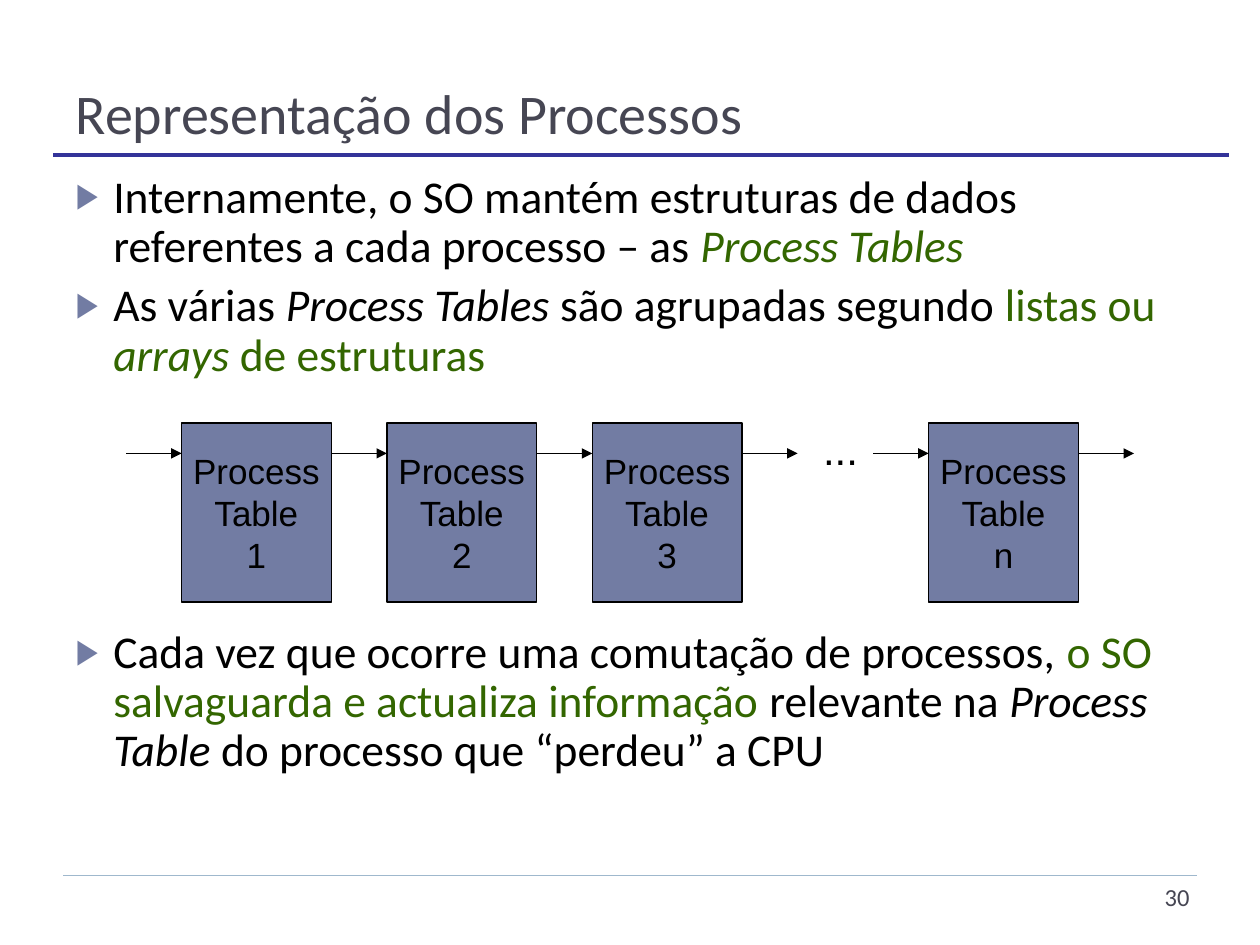
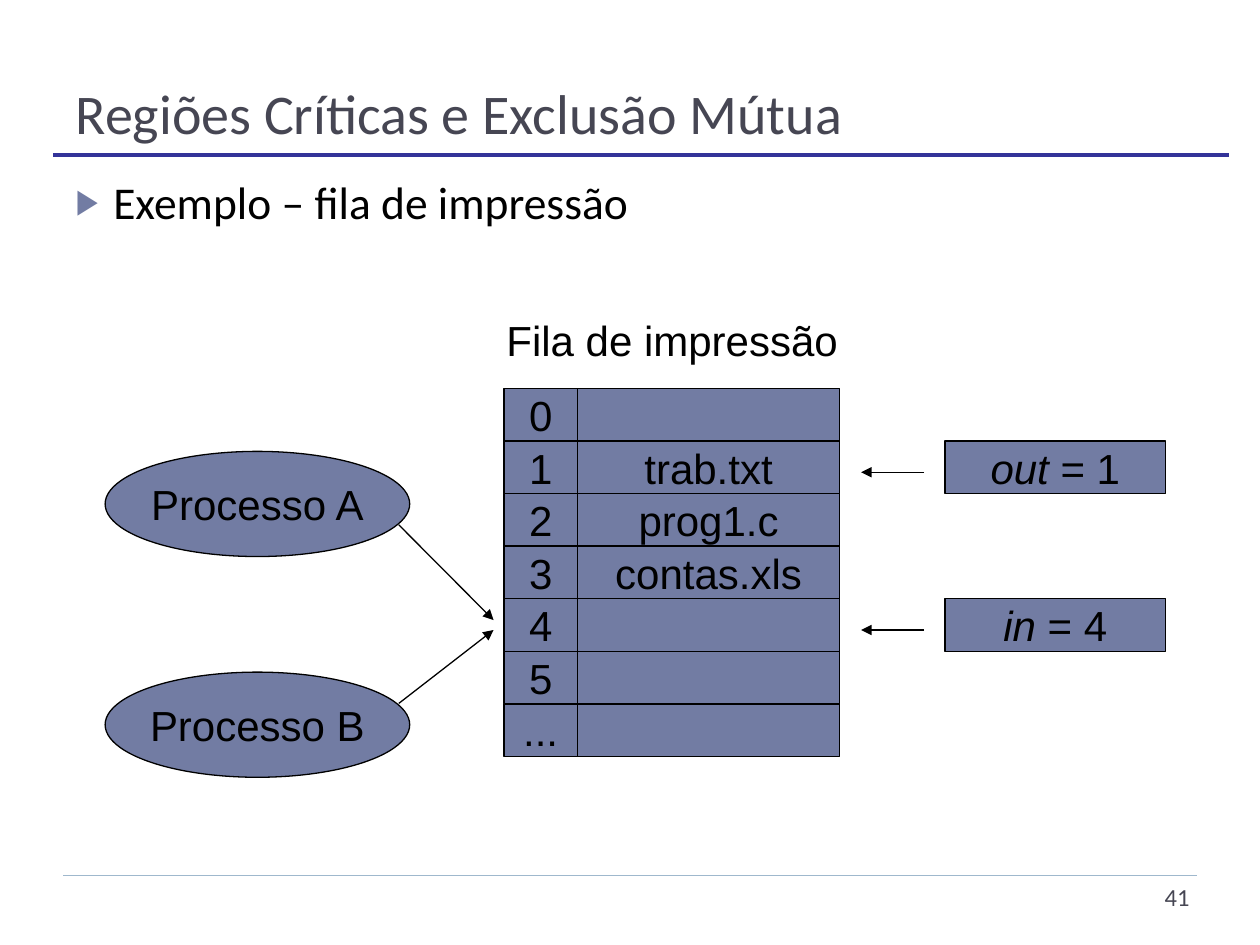
from dataclasses import dataclass

from lxml.etree import SubElement
from pptx import Presentation
from pptx.dml.color import RGBColor
from pptx.enum.shapes import MSO_CONNECTOR, MSO_SHAPE
from pptx.enum.text import MSO_ANCHOR, MSO_AUTO_SIZE, PP_ALIGN
from pptx.oxml.ns import qn
from pptx.util import Cm, Pt

# Content: runs are (text, style), where i is italic and g is the accent green
PROCESS_SLIDE = {
    "title": "Representação dos Processos",
    "number": "30",
    "line_spacing": 0.9,
    "bullets": [
        (0, [("Internamente, o SO mantém estruturas de dados referentes a cada processo – as ", ""),
             ("Process Tables", "gi")]),
        (6, [("As várias ", ""), ("Process Tables", "i"), (" são agrupadas segundo ", ""),
             ("listas ou ", "g"), ("arrays", "gi"), (" de estruturas", "g")]),
        (142, [("Cada vez que ocorre uma comutação de processos, ", ""),
               ("o SO salvaguarda e actualiza informação", "g"), (" relevante na ", ""),
               ("Process Table", "i"), (" do processo que “perdeu” a CPU", "")]),
    ],
}
QUEUE_SLIDE = {
    "title": "Regiões Críticas e Exclusão Mútua",
    "number": "41",
    "line_spacing": 1.0,
    "bullets": [(0, [("Exemplo – fila de impressão", "")])],
}
PROCESS_TABLES = [("1", 3.66), ("2", 7.8), ("3", 11.94), ("n", 18.72)]
QUEUE_TITLE = "Fila de impressão"
QUEUE = [("0", ""), ("1", "trab.txt"), ("2", "prog1.c"), ("3", "contas.xls"),
         ("4", ""), ("5", ""), ("...", "")]
POINTERS = [("out", 1), ("in", 4)]
PROCESSES = [("Processo A", 9.1, 10.58, 12.5), ("Processo B", 13.55, 14.18, 12.7)]


@dataclass(frozen=True)
class Theme:
    heading_font: str = "Calibri"
    diagram_font: str = "Arial"
    heading: str = "464653"
    ink: str = "000000"
    green: str = "336600"
    fill: str = "727CA3"
    title_rule: str = "333399"
    footer_rule: str = "9FB8CD"
    title_size: int = 32
    body_size: int = 26
    diagram_size: int = 24
    box_size: int = 20
    number_size: int = 14


THEME = Theme()


# Formatting helpers
def set_values(target, values):
    for name, value in values.items():
        setattr(target, name, value)


def place(shape, left, top, width, height):
    set_values(shape, {"left": Cm(left), "top": Cm(top), "width": Cm(width), "height": Cm(height)})


def write_runs(paragraph, runs, font, size, color):
    for text, style in runs:
        for index, line in enumerate(text.split("\n")):
            if index:
                paragraph.add_line_break()
            run = paragraph.add_run()
            run.text = line
            set_values(run.font, {"name": font, "size": Pt(size), "italic": "i" in style})
            run.font.color.rgb = RGBColor.from_string(THEME.green if "g" in style else color)


def add_bullet(paragraph):
    properties = paragraph._p.get_or_add_pPr()
    properties.set("marL", str(Cm(0.76)))
    properties.set("indent", str(-Cm(0.76)))
    bullet_color = SubElement(properties, qn("a:buClr"))
    SubElement(bullet_color, qn("a:srgbClr"), val=THEME.fill)
    SubElement(properties, qn("a:buSzPct"), val="76000")
    SubElement(properties, qn("a:buChar"), char="▶")


def add_line(slide, start, end, color=THEME.ink, width=0.75, arrow=False):
    points = [Cm(value) for value in (*start, *end)]
    connector = slide.shapes.add_connector(MSO_CONNECTOR.STRAIGHT, *points)
    connector.line.color.rgb = RGBColor.from_string(color)
    connector.line.width = Pt(width)
    if arrow:
        SubElement(connector.line._get_or_add_ln(), qn("a:tailEnd"), type="triangle")
    SubElement(connector._element.spPr, qn("a:effectLst"))


def add_box(slide, runs, left, top, width, height,
            size=THEME.diagram_size, kind=MSO_SHAPE.RECTANGLE):
    shape = slide.shapes.add_shape(kind, Cm(left), Cm(top), Cm(width), Cm(height))
    shape.shadow.inherit = False
    shape.fill.solid()
    shape.fill.fore_color.rgb = RGBColor.from_string(THEME.fill)
    shape.line.color.rgb = RGBColor.from_string(THEME.ink)
    shape.line.width = Pt(0.75)
    set_values(shape.text_frame, {"word_wrap": False, "vertical_anchor": MSO_ANCHOR.MIDDLE})
    paragraph = shape.text_frame.paragraphs[0]
    paragraph.alignment = PP_ALIGN.CENTER
    write_runs(paragraph, runs, THEME.diagram_font, size, THEME.ink)


def add_label(slide, text, left, top, width, height, alignment=PP_ALIGN.CENTER,
              font=THEME.diagram_font, size=THEME.diagram_size, color=THEME.ink):
    label = slide.shapes.add_textbox(Cm(left), Cm(top), Cm(width), Cm(height))
    label.text_frame.word_wrap = True
    paragraph = label.text_frame.paragraphs[0]
    paragraph.alignment = alignment
    write_runs(paragraph, [(text, "")], font, size, color)


# Shared frame: rules, title, number and bullet list
def add_framed_slide(presentation, content):
    slide = presentation.slides.add_slide(presentation.slide_layouts[1])
    add_line(slide, (1.27, 17.65), (24.13, 17.65), THEME.footer_rule)
    add_line(slide, (1.07, 3.12), (24.77, 3.12), THEME.title_rule, 2)

    title, body = slide.placeholders
    place(title, 1.27, 0.33, 22.86, 2.74)
    place(body, 1.27, 3.38, 22.86, 13.72)
    for placeholder, anchor in ((title, MSO_ANCHOR.BOTTOM), (body, MSO_ANCHOR.TOP)):
        set_values(placeholder.text_frame, {
            "word_wrap": True, "auto_size": MSO_AUTO_SIZE.NONE, "vertical_anchor": anchor})

    heading = title.text_frame.paragraphs[0]
    heading.alignment = PP_ALIGN.LEFT
    write_runs(heading, [(content["title"], "")],
               THEME.heading_font, THEME.title_size, THEME.heading)

    for index, (space_before, runs) in enumerate(content["bullets"]):
        frame = body.text_frame
        paragraph = frame.add_paragraph() if index else frame.paragraphs[0]
        add_bullet(paragraph)
        set_values(paragraph, {
            "line_spacing": content["line_spacing"], "space_before": Pt(space_before)})
        write_runs(paragraph, runs, THEME.heading_font, THEME.body_size, THEME.ink)

    add_label(slide, content["number"], 18.69, 17.65, 5.54, 1.02, PP_ALIGN.RIGHT,
              THEME.heading_font, THEME.number_size, THEME.heading)
    return slide


# Chain of process tables
def draw_process_chain(slide):
    top, width, height = 8.53, 3.02, 3.61
    arrow_y, gap = 9.14, 1.12
    for name, left in PROCESS_TABLES:
        add_box(slide, [(f"Process\nTable\n{name}", "")], left, top, width, height, THEME.box_size)
    incoming = [left - gap for _, left in PROCESS_TABLES]
    outgoing = [left + width for _, left in PROCESS_TABLES[-2:]]
    for start in incoming + outgoing:
        add_line(slide, (start, arrow_y), (start + gap, arrow_y), arrow=True)
    add_label(slide, "...", 16.31, 8.41, 1.27, 1.27)


# Print queue with its pointers and the two competing processes
def draw_print_queue(slide):
    left, top, row_height = 10.16, 7.83, 1.06
    index_width, file_width = 1.48, 5.29
    for row, (index, file_name) in enumerate(QUEUE):
        row_top = top + row * row_height
        add_box(slide, [(index, "")], left, row_top, index_width, row_height)
        add_box(slide, [(file_name, "")] if file_name else [],
                left + index_width, row_top, file_width, row_height)
    for name, slot in POINTERS:
        slot_top = top + slot * row_height
        arrow_y = slot_top + 0.63
        add_box(slide, [(name, "i"), (f" = {slot}", "")], 19.05, slot_top, 4.45, row_height)
        add_line(slide, (18.63, arrow_y), (17.36, arrow_y), arrow=True)
    for name, ellipse_top, arrow_start, arrow_end in PROCESSES:
        add_box(slide, [(name, "")], 2.12, ellipse_top, 6.14, 2.12, kind=MSO_SHAPE.OVAL)
        add_line(slide, (8.04, arrow_start), (9.95, arrow_end), arrow=True)
    add_label(slide, QUEUE_TITLE, 9.53, 6.22, 8.04, 1.27)


def main():
    presentation = Presentation()
    set_values(presentation, {"slide_width": Cm(25.4), "slide_height": Cm(19.05)})
    for content, draw in ((PROCESS_SLIDE, draw_process_chain), (QUEUE_SLIDE, draw_print_queue)):
        draw(add_framed_slide(presentation, content))
    presentation.save("out.pptx")


if __name__ == "__main__":
    main()
